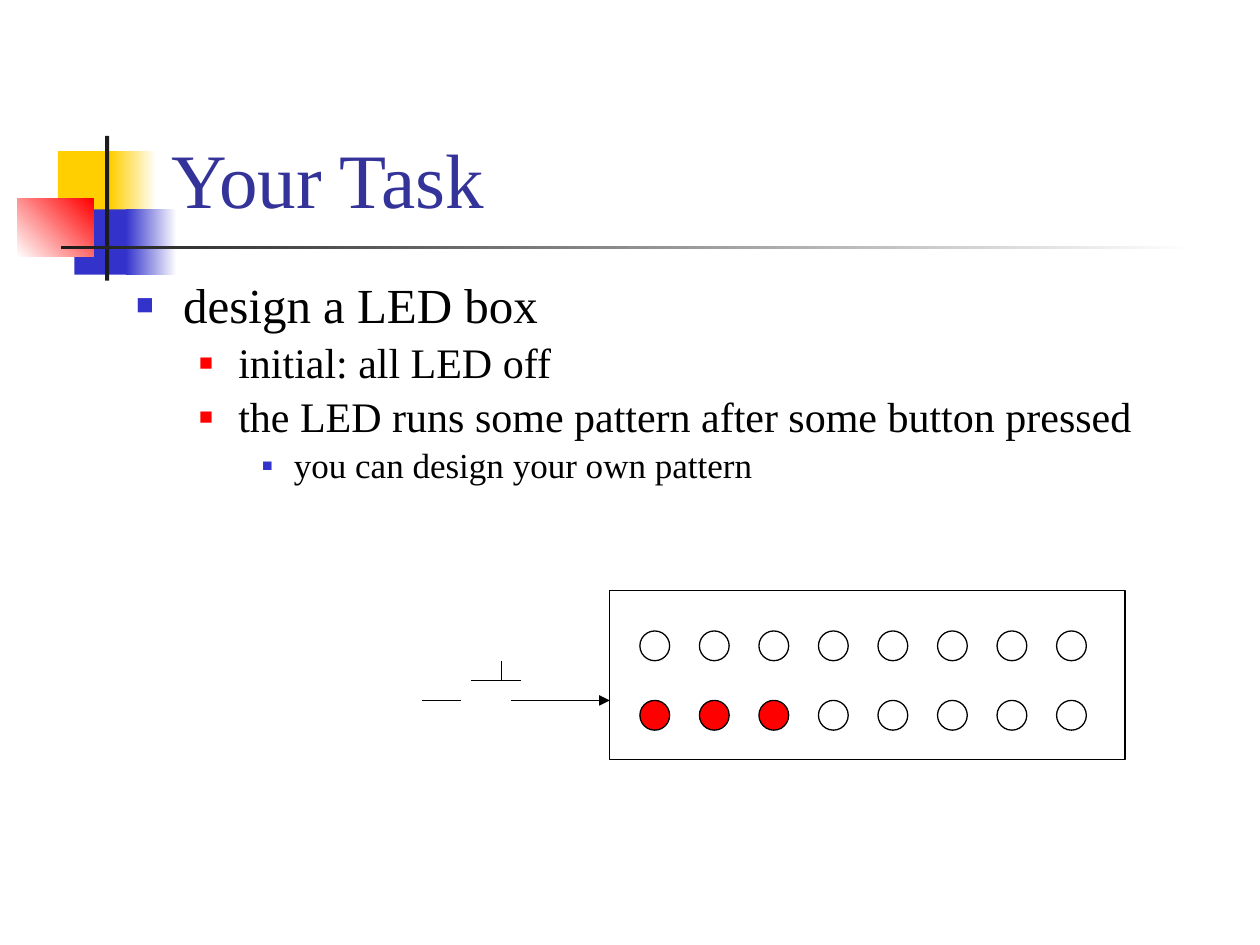
import pptx
import pptx.util
import pptx.dml.color
import pptx.enum.shapes
import pptx.enum.text
import pptx.oxml
import pptx.oxml.ns
from lxml import etree

Cm, Pt = pptx.util.Cm, pptx.util.Pt
SHAPE = pptx.enum.shapes.MSO_SHAPE
FONT = "Times New Roman"
COLORS = {"yellow": "FFCF01", "blue": "3333CC", "red": "FF0000", "white": "FFFFFF",
          "dark": "1C1C1C", "title": "333399", "black": "000000"}

# Content: text and level
TITLE = "Your Task"
TASKS = [("design a LED box", 0),
         ("initial: all LED off", 1),
         ("the LED runs some pattern after some button pressed", 1),
         ("you can design your own pattern", 2)]
# Per level: font size, indent, hanging, bullet colour, bullet percent
LEVELS = [(28, 0.95, 0.95, "blue", 60),
          (24, 2.06, 0.79, "red", 55),
          (20, 3.18, 0.64, "blue", 50)]

# Decoration: left, top, width, height, colours, gradient angle (cm)
DECORATION = [((1.17, 3.05, 1.22, 1.32), ["yellow"], 0),
              ((2.23, 3.05, 0.92, 1.32), ["yellow", "white"], 0),
              ((1.5, 4.22, 1.16, 1.32), ["blue"], 0),
              ((2.54, 4.22, 1.02, 1.32), ["blue", "white"], 0),
              ((0.35, 4.01, 1.54, 1.17), ["white", "red"], 45),
              ((2.12, 2.74, 0.08, 2.92), ["dark"], 0),
              ((1.23, 4.95, 22.86, 0.08), ["dark", "white"], 0)]

# LED box and push button (cm)
LED_BOX = (12.29, 11.91, 10.39, 3.4)
LED_LEFT, LED_PITCH, LED_SIZE, LED_COUNT = 12.9, 1.2, 0.6, 8
TOP_ROW, BOTTOM_ROW = 12.72, 14.12
LIT_COUNT = 3
WIRE = 14.12
BUTTON_LINES = [((10.9, WIRE), (12.29, WIRE), True),
                ((8.51, WIRE), (9.3, WIRE), False),
                ((9.5, 13.72), (10.5, 13.72), False),
                ((10.11, 13.72), (10.11, 13.33), False),
                ((10.31, WIRE), (10.9, WIRE), False)]


def rgb(name):
    return pptx.dml.color.RGBColor.from_string(COLORS[name])


def add_shape(shapes, kind, place, fills=(), angle=0, line=None):
    shape = shapes.add_shape(kind, *map(Cm, place))
    shape.shadow.inherit = False
    if len(fills) == 2:
        shape.fill.gradient()
        shape.fill.gradient_angle = angle
        for stop, name in zip(shape.fill.gradient_stops, fills):
            stop.color.rgb = rgb(name)
    elif fills:
        shape.fill.solid()
        shape.fill.fore_color.rgb = rgb(fills[0])
    else:
        shape.fill.background()
    if line:
        shape.line.color.rgb = rgb(line)
        shape.line.width = Pt(0.75)
    else:
        shape.line.fill.background()


def add_led(shapes, column, top, fills=()):
    place = (LED_LEFT + column * LED_PITCH, top, LED_SIZE, LED_SIZE)
    add_shape(shapes, SHAPE.OVAL, place, fills, line="black")


def add_line(shapes, start, end, arrow):
    line = shapes.add_connector(pptx.enum.shapes.MSO_CONNECTOR.STRAIGHT,
                                *map(Cm, start + end))
    line.line.color.rgb = rgb("black")
    line.line.width = Pt(0.75)
    if arrow:
        etree.SubElement(line.line._get_or_add_ln(),
                         pptx.oxml.ns.qn("a:tailEnd"), type="triangle")
    etree.SubElement(line._element.spPr, pptx.oxml.ns.qn("a:effectLst"))


def place_text(holder, place, anchor):
    holder.left, holder.top, holder.width, holder.height = map(Cm, place)
    frame = holder.text_frame
    frame.word_wrap = True
    frame.auto_size = pptx.enum.text.MSO_AUTO_SIZE.NONE
    frame.vertical_anchor = anchor
    return frame


def add_span(para, text, size, color):
    span = para.add_run()
    span.text = text
    span.font.name = FONT
    span.font.size = Pt(size)
    span.font.color.rgb = rgb(color)


def set_bullet(para, level):
    size, indent, hanging, color, percent = LEVELS[level]
    props = para._p.get_or_add_pPr()
    props.set("marL", str(Cm(indent)))
    props.set("indent", str(-Cm(hanging)))
    namespace = pptx.oxml.ns.nsdecls("a")
    for xml in (f'<a:buClr {namespace}><a:srgbClr val="{COLORS[color]}"/></a:buClr>',
                f'<a:buSzPct {namespace} val="{percent * 1000}"/>',
                f'<a:buFont {namespace} typeface="{FONT}"/>',
                f'<a:buChar {namespace} char="\u25a0"/>'):
        props.append(pptx.oxml.parse_xml(xml))


deck = pptx.Presentation()
deck.slide_width, deck.slide_height = Cm(25.4), Cm(19.05)
page = deck.slides.add_slide(deck.slide_layouts[1])
title, body = page.placeholders

# Title
frame = place_text(title, (3.2, 0.58, 21.64, 4.06), pptx.enum.text.MSO_ANCHOR.BOTTOM)
para = frame.paragraphs[0]
para.alignment = pptx.enum.text.PP_ALIGN.LEFT
add_span(para, TITLE, 44, "title")

# Task list
frame = place_text(body, (2.49, 5.54, 20.8, 5.21), pptx.enum.text.MSO_ANCHOR.TOP)
for number, (text, level) in enumerate(TASKS):
    para = frame.add_paragraph() if number else frame.paragraphs[0]
    para.level = level
    para.line_spacing = 0.9
    set_bullet(para, level)
    add_span(para, text, LEVELS[level][0], "black")

# Decoration, kept behind the text
for place, fills, angle in DECORATION:
    add_shape(page.shapes, SHAPE.RECTANGLE, place, fills, angle)
for holder in (title, body):
    page.shapes._spTree.append(holder._element)

# LED box with its button
box = page.shapes.add_group_shape().shapes
for column in range(LIT_COUNT, LED_COUNT):
    add_led(box, column, BOTTOM_ROW)
for column in range(LED_COUNT):
    add_led(box, column, TOP_ROW)
add_shape(box, SHAPE.RECTANGLE, LED_BOX, line="black")
for start, end, arrow in BUTTON_LINES:
    add_line(box, start, end, arrow)

# Lit LEDs
for column in range(LIT_COUNT):
    add_led(page.shapes, column, BOTTOM_ROW, ["red"])

deck.save("out.pptx")
